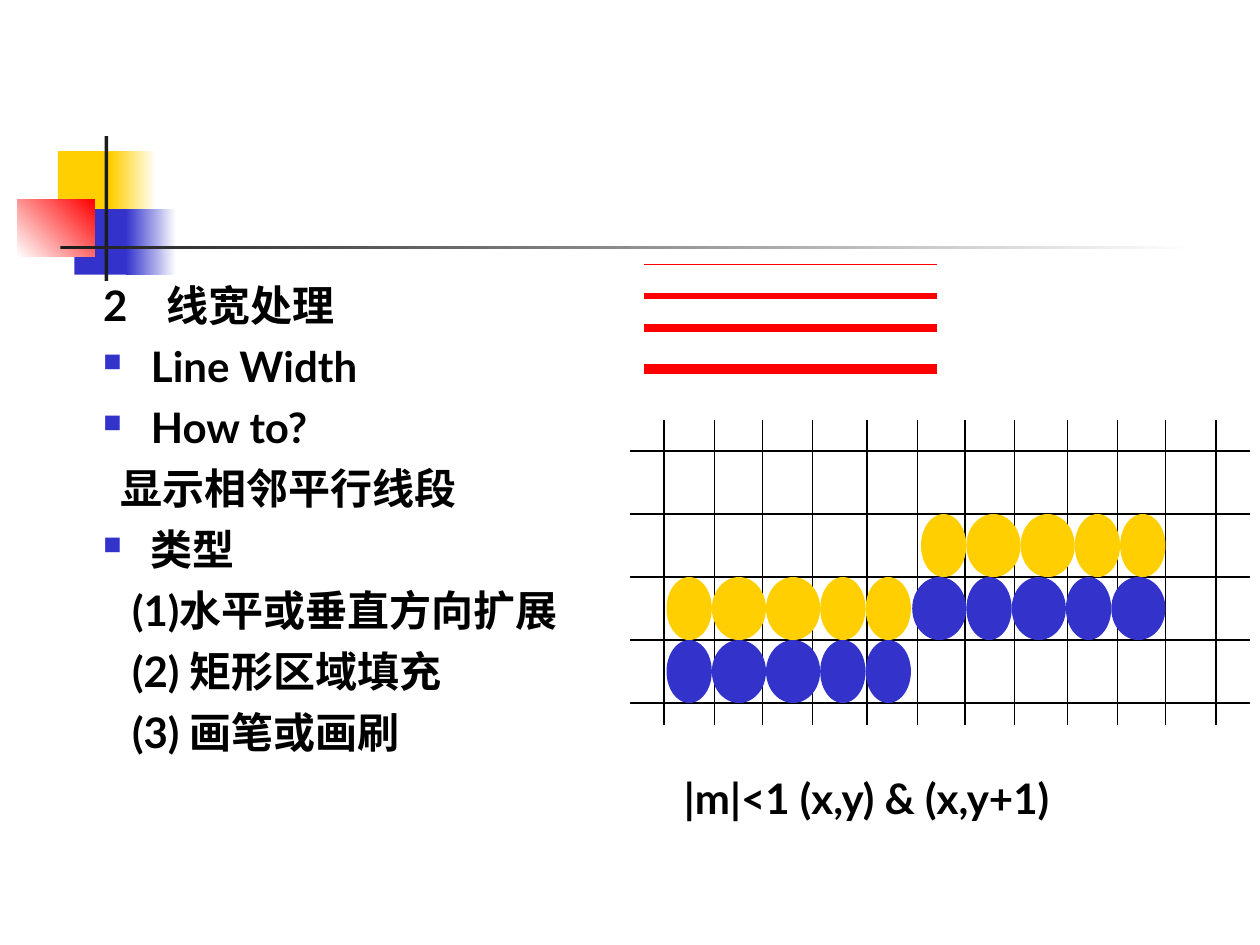
from dataclasses import dataclass

from lxml.etree import SubElement
from pptx import Presentation
from pptx.dml.color import RGBColor
from pptx.enum.shapes import MSO_CONNECTOR, MSO_SHAPE
from pptx.enum.text import MSO_ANCHOR, PP_ALIGN
from pptx.oxml.ns import qn
from pptx.util import Inches, Pt

YELLOW, BLUE, RED = "FFCF01", "3333CC", "FF0000"
BLACK, CHARCOAL, WHITE = "000000", "1C1C1C", "FFFFFF"
NARROW, WIDE = 0.36, 0.43
GRID_LEFT, GRID_RIGHT, GRID_TOP, GRID_BOTTOM = 5, 9.92, 3.33, 5.75
ROW_HEIGHT = 0.5
ROWS = [3.58 + ROW_HEIGHT * i for i in range(5)]
COLUMNS = [5.27, 5.67, 6.05, 6.45, 6.88, 7.28, 7.66, 8.05, 8.47, 8.87, 9.25, 9.65]


@dataclass
class Block:
    left: float
    top: float
    width: float
    height: float
    color: str
    end_color: str = ""
    angle: float = 0


@dataclass
class PixelRun:
    left: float
    row: int
    widths: list[float]
    color: str


@dataclass
class Item:
    text: str
    margin: float = 0
    bullet: bool = False
    tab: float = 0


MOTIF = [
    Block(0.46, 1.2, 0.48, 0.52, YELLOW),
    Block(0.88, 1.2, 0.36, 0.52, YELLOW, WHITE),
    Block(0.59, 1.66, 0.46, 0.52, BLUE),
    Block(1, 1.66, 0.4, 0.52, BLUE, WHITE),
    Block(0.14, 1.58, 0.61, 0.46, WHITE, RED, 45),
    Block(0.83, 1.08, 0.03, 1.15, CHARCOAL),
    Block(0.48, 1.95, 9, 0.03, CHARCOAL, WHITE),
]
OUTLINE = [
    Item("2\t线宽处理", tab=0.43),
    Item("Line Width", 0.38, True),
    Item("How to?", 0.38, True),
    Item("显示相邻平行线段", 0.14),
    Item("类型", 0.38, True),
    Item("(1)水平或垂直方向扩展", 0.23),
    Item("(2) 矩形区域填充", 0.23),
    Item("(3) 画笔或画刷", 0.23),
]
SAMPLE_WIDTHS = {2.1: 1, 2.35: 3, 2.6: 4.5, 2.93: 6}
LEFT_STEP = [NARROW, WIDE, WIDE, NARROW, NARROW]
PIXEL_RUNS = [
    PixelRun(5.29, 3, LEFT_STEP, BLUE),
    PixelRun(7.24, 2, [WIDE, NARROW, WIDE, NARROW, WIDE], BLUE),
    PixelRun(5.29, 2, LEFT_STEP, YELLOW),
    PixelRun(7.31, 1, LEFT_STEP, YELLOW),
]


def rgb(value: str) -> RGBColor:
    """Turn a hex string into a colour."""
    return RGBColor.from_string(value)


def draw_block(slide, block: Block, preset=MSO_SHAPE.RECTANGLE) -> None:
    """Draw a borderless shape with a plain or gradient fill."""
    shape = slide.shapes.add_shape(
        preset, Inches(block.left), Inches(block.top),
        Inches(block.width), Inches(block.height))
    shape.shadow.inherit = False
    shape.line.fill.background()
    if block.end_color:
        shape.fill.gradient()
        shape.fill.gradient_angle = block.angle
        for stop, color in zip(shape.fill.gradient_stops, (block.color, block.end_color)):
            stop.color.rgb = rgb(color)
    else:
        shape.fill.solid()
        shape.fill.fore_color.rgb = rgb(block.color)


def draw_line(slide, x1: float, y1: float, x2: float, y2: float,
              color: str = BLACK, weight: float = 0.75) -> None:
    """Draw a straight line without a shadow."""
    line = slide.shapes.add_connector(
        MSO_CONNECTOR.STRAIGHT, Inches(x1), Inches(y1), Inches(x2), Inches(y2))
    line.line.color.rgb = rgb(color)
    line.line.width = Pt(weight)
    SubElement(line._element.spPr, qn("a:effectLst"))


def draw_pixels(slide, run: PixelRun) -> None:
    """Draw touching ellipses along one grid row."""
    left = run.left
    for width in run.widths:
        draw_block(slide, Block(left, ROWS[run.row], width, ROW_HEIGHT, run.color),
                   MSO_SHAPE.OVAL)
        left += width


def format_item(paragraph, item: Item) -> None:
    """Write one item with its indent, bullet, tab stop and font."""
    paragraph.text = item.text
    paragraph.alignment = PP_ALIGN.LEFT
    properties = paragraph._p.get_or_add_pPr()
    properties.set("marL", str(Inches(item.margin)))
    properties.set("indent", str(-Inches(item.margin) if item.bullet else 0))
    if item.bullet:
        bullet_color = SubElement(properties, qn("a:buClr"))
        SubElement(bullet_color, qn("a:srgbClr"), val=BLUE)
        SubElement(properties, qn("a:buSzPct"), val="60000")
        SubElement(properties, qn("a:buChar"), char="■")
    else:
        SubElement(properties, qn("a:buNone"))
    if item.tab:
        tabs = SubElement(properties, qn("a:tabLst"))
        SubElement(tabs, qn("a:tab"), pos=str(Inches(item.tab)), algn="l")
    font = paragraph.font
    font.name, font.size, font.bold = "Lato", Pt(24), True
    font.color.rgb = rgb(BLACK)


def add_text(slide, left: float, top: float, width: float, height: float,
             items: list[Item], wrap: bool) -> None:
    """Add a text box that holds the given items."""
    frame = slide.shapes.add_textbox(
        Inches(left), Inches(top), Inches(width), Inches(height)).text_frame
    frame.word_wrap = wrap
    frame.vertical_anchor = MSO_ANCHOR.TOP
    for index, item in enumerate(items):
        paragraph = frame.add_paragraph() if index else frame.paragraphs[0]
        if index:
            paragraph.space_before = Pt(6)
        format_item(paragraph, item)


def main() -> None:
    """Build the line width slide."""
    presentation = Presentation()
    presentation.slide_width, presentation.slide_height = Inches(10), Inches(7.5)
    slide = presentation.slides.add_slide(presentation.slide_layouts[6])
    for block in MOTIF:
        draw_block(slide, block)
    add_text(slide, 0.72, 2.17, 4.44, 4.5, OUTLINE, True)
    for y, weight in SAMPLE_WIDTHS.items():
        draw_line(slide, 5.11, y, 7.44, y, RED, weight)
    for x in COLUMNS:
        draw_line(slide, x, GRID_TOP, x, GRID_BOTTOM)
    for y in ROWS:
        draw_line(slide, GRID_LEFT, y, GRID_RIGHT, y)
    for run in PIXEL_RUNS:
        draw_pixels(slide, run)
    add_text(slide, 5.33, 6.08, 3.57, 0.5, [Item("|m|<1 (x,y) & (x,y+1)")], False)
    presentation.save("out.pptx")


if __name__ == "__main__":
    main()
